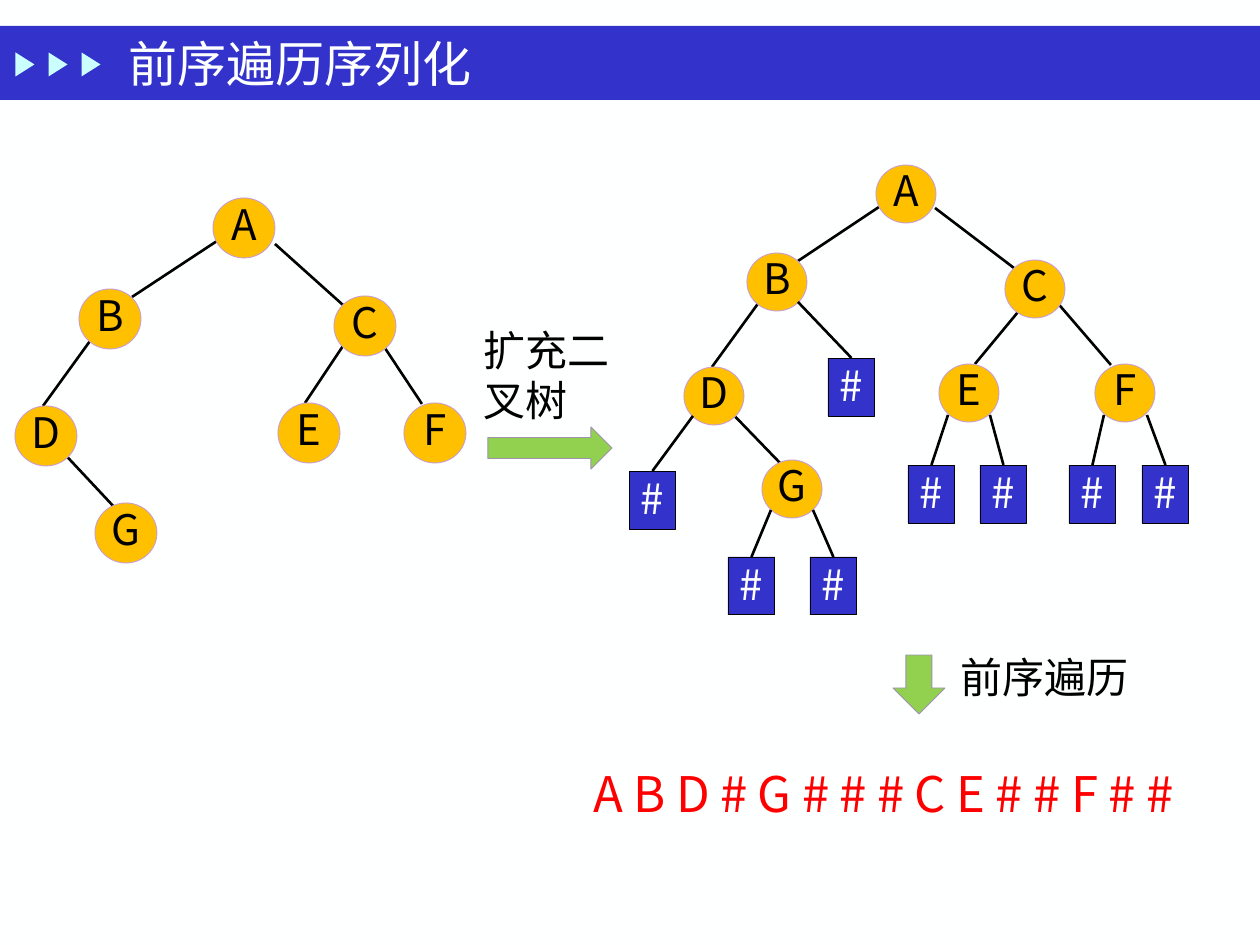
from lxml import etree
from pptx import Presentation
from pptx.dml.color import RGBColor
from pptx.enum.shapes import MSO_CONNECTOR, MSO_SHAPE
from pptx.enum.text import MSO_ANCHOR, PP_ALIGN
from pptx.oxml.ns import qn
from pptx.util import Emu, Pt

OVAL, RECT, TRIANGLE = MSO_SHAPE.OVAL, MSO_SHAPE.RECTANGLE, MSO_SHAPE.ISOSCELES_TRIANGLE
RIGHT_ARROW, DOWN_ARROW = MSO_SHAPE.RIGHT_ARROW, MSO_SHAPE.DOWN_ARROW
STRAIGHT = MSO_CONNECTOR.STRAIGHT
TOP, MIDDLE, BOTTOM = MSO_ANCHOR.TOP, MSO_ANCHOR.MIDDLE, MSO_ANCHOR.BOTTOM
LEFT, CENTER = PP_ALIGN.LEFT, PP_ALIGN.CENTER

PX = 914400 // 126
FONT = "Noto Sans CJK SC"
BLUE, GOLD, GREEN, BLACK, WHITE = "3333CC", "FFC000", "92D050", "000000", "FFFFFF"
PAPER = "FEFFFF"

# Content: node corners, edges between nodes, and leaves with the start of their edge
PLAIN_TREE = {
    "node_size": (62, 60),
    "nodes": {"A": (213, 198), "B": (79, 289), "C": (334, 296), "D": (15, 406),
              "E": (278, 403), "F": (404, 403), "G": (95, 503)},
    "edges": [(217, 241, 132, 297), (275, 244, 343, 305), (98, 330, 43, 406),
              (345, 343, 305, 403), (377, 336, 422, 404), (57, 446, 116, 509)],
    "leaves": [],
}
EXTENDED_TREE = {
    "node_size": (60, 58),
    "nodes": {"A": (876, 165), "B": (747, 253), "C": (1005, 260), "D": (684, 367),
              "E": (939, 364), "F": (1095, 364), "G": (762, 460)},
    "edges": [(879, 207, 798, 261), (935, 208, 1014, 268), (765, 294, 712, 367),
              (1028, 300, 975, 364), (1055, 300, 1111, 365), (725, 406, 782, 465)],
    "leaves": [((828, 358), (798, 302)), ((629, 471), (693, 416)),
               ((728, 557), (771, 510)), ((810, 557), (813, 510)),
               ((908, 465), (948, 415)), ((980, 465), (990, 415)),
               ((1069, 465), (1104, 415)), ((1142, 465), (1147, 415))],
}
LEAF_SIZE = (47, 58)
ARROWS = [(RIGHT_ARROW, (488, 427, 124, 42)), (DOWN_ARROW, (893, 655, 52, 59))]
LABELS = [
    ("扩充二叉树", (471, 318, 158, 115), {}),
    ("前序遍历", (948, 645, 199, 63), {}),
    ("ABD#G###CE##F##", (581, 757, 659, 72), {"size": 28, "color": "FF0000", "spacing": 6}),
]


def px(*lengths):
    return [Emu(length * PX) for length in lengths]


def rgb(color):
    return RGBColor.from_string(color)


def write(box, text, size=24, color=BLACK, font=FONT, align=LEFT, anchor=TOP,
          insets=None, leading=None, spacing=None):
    frame = box.text_frame
    frame.word_wrap = True
    frame.vertical_anchor = anchor
    if insets:
        frame.margin_left, frame.margin_top, frame.margin_right, frame.margin_bottom = px(*insets)
    para = frame.paragraphs[0]
    para.alignment = align
    if leading:
        para.line_spacing = Pt(leading)
    span = para.add_run()
    span.text = text
    span.font.name, span.font.size = font, Pt(size)
    span.font.color.rgb = rgb(color)
    properties = span.font._element
    etree.SubElement(properties, qn("a:ea")).set("typeface", FONT)
    if spacing:
        properties.set("spc", str(spacing * 100))


def add_box(page, kind, place, fill, line=None):
    box = page.shapes.add_shape(kind, *px(*place))
    box.shadow.inherit = False
    box.fill.solid()
    box.fill.fore_color.rgb = rgb(fill)
    if line:
        box.line.color.rgb = rgb(line)
        box.line.width = Pt(0.5)
    else:
        box.line.fill.background()
    return box


def add_edge(page, ends):
    edge = page.shapes.add_connector(STRAIGHT, *px(*ends))
    edge.line.color.rgb = rgb(BLACK)
    edge.line.width = Pt(1.5)
    etree.SubElement(edge._element.spPr, qn("a:effectLst"))
    return edge


def add_tree(page, tree):
    for ends in tree["edges"]:
        add_edge(page, ends)
    for name, corner in tree["nodes"].items():
        node = add_box(page, OVAL, corner + tree["node_size"], GOLD, "C79ED3")
        write(node, name, align=CENTER, anchor=BOTTOM, insets=(0, 0, 0, 0), leading=20)
    for corner, start in tree["leaves"]:
        leaf = add_box(page, RECT, corner + LEAF_SIZE, BLUE, BLACK)
        write(leaf, "#", color=WHITE, align=CENTER, anchor=BOTTOM,
              insets=(0, 6, 0, 6), leading=20)
        add_edge(page, start + corner).end_connect(leaf, 0)


def main():
    deck = Presentation()
    deck.slide_width, deck.slide_height = px(1260, 945)
    page = deck.slides.add_slide(deck.slide_layouts[5])
    page.background.fill.solid()
    page.background.fill.fore_color.rgb = rgb(PAPER)

    # Header band with three pointers, kept behind the title
    title = page.shapes.title
    add_box(page, RECT, (0, 26, 1260, 74), BLUE)
    for index in range(3):
        pointer = add_box(page, TRIANGLE, (13 + 33 * index, 55, 24, 19), "CBFFFF")
        pointer.rotation = 90
    page.shapes._spTree.append(title._element)
    title.left, title.top, title.width, title.height = px(116, 26, 882, 73)
    write(title, "前序遍历序列化", size=28, color=PAPER, font="Times New Roman", anchor=MIDDLE)

    # Trees
    for tree in (PLAIN_TREE, EXTENDED_TREE):
        add_tree(page, tree)

    # Step arrows and labels
    for kind, place in ARROWS:
        add_box(page, kind, place, GREEN, "9F92B0")
    for text, place, style in LABELS:
        write(page.shapes.add_textbox(*px(*place)), text, **style)

    deck.save("out.pptx")


if __name__ == "__main__":
    main()
